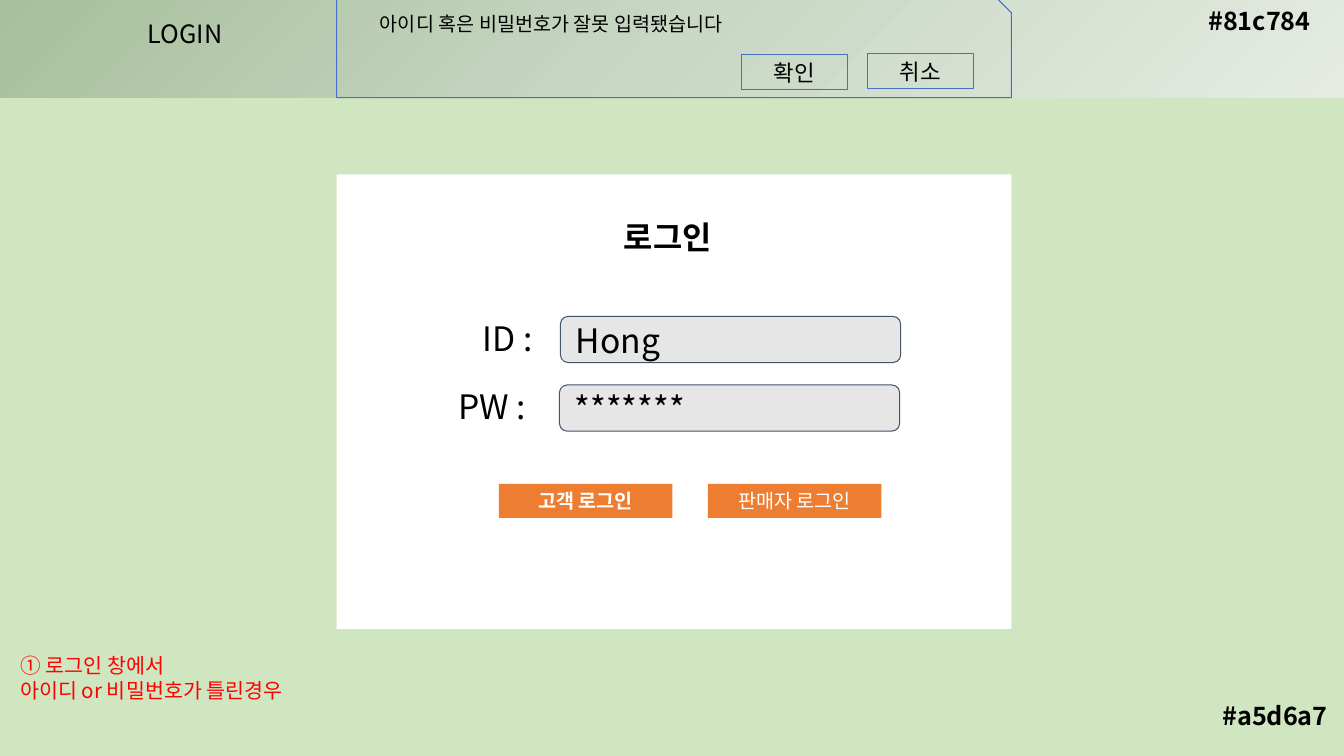
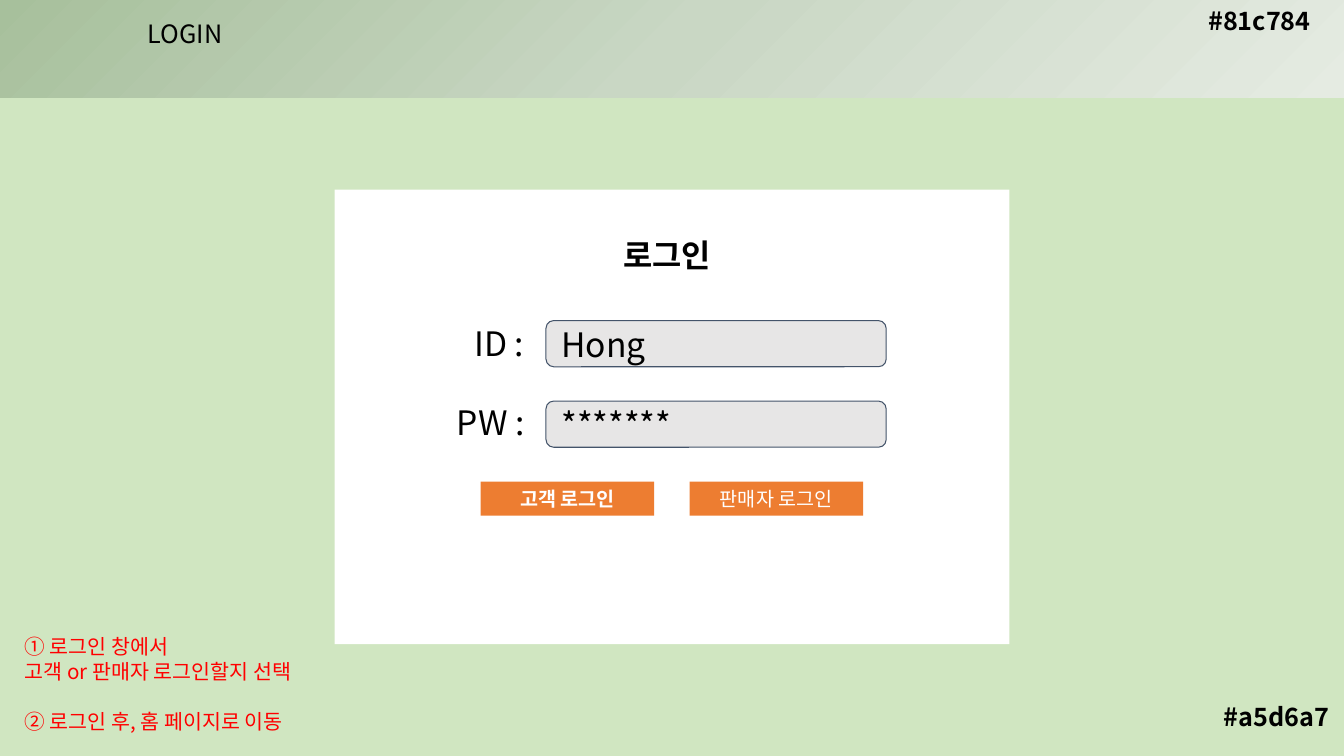
from copy import deepcopy

from pptx import Presentation
from pptx.dml.color import RGBColor
from pptx.enum.shapes import MSO_SHAPE
from pptx.enum.text import MSO_ANCHOR, PP_ALIGN
from pptx.oxml.ns import qn
from pptx.util import Pt

RECT = MSO_SHAPE.RECTANGLE
ROUND = MSO_SHAPE.ROUNDED_RECTANGLE
SNIP = MSO_SHAPE.SNIP_1_RECTANGLE
LEFT, CENTER = PP_ALIGN.LEFT, PP_ALIGN.CENTER
TOP, MIDDLE = MSO_ANCHOR.TOP, MSO_ANCHOR.MIDDLE


class Theme:
    font = "Noto Sans CJK KR"
    leading = 1.22
    wide, narrow = 9.4, 3.6  # text insets
    page, card, field = "D0E6C1", "FFFFFF", "E7E6E6"
    band = ("A7C09C", "C9D7C4", "E5EBE2")
    field_line, dialog_line = "44546A", "4472C4"
    button, ink, light, note = "ED7D31", "000000", "FFFFFF", "FF0000"
    title_size, field_size, bar_size = 22.7, 24, 18
    note_size, button_size, dialog_button_size = 14.7, 14, 16


def add_box(s, kind, at, fill=None, line=None):
    sp = s.shapes.add_shape(kind, *map(Pt, at))
    sp.shadow.inherit = False
    if fill:
        sp.fill.solid()
        sp.fill.fore_color.rgb = RGBColor.from_string(fill)
    else:
        sp.fill.background()
    if line:
        sp.line.color.rgb = RGBColor.from_string(line)
        sp.line.width = Pt(0.75)
    else:
        sp.line.fill.background()
    return sp


def add_text(sp, lines, size, color=Theme.ink, bold=False, align=LEFT,
             anchor=TOP, inset=Theme.wide, gap=0):
    tf = sp.text_frame
    tf.word_wrap = True
    tf.vertical_anchor = anchor
    tf.margin_left = tf.margin_right = Pt(inset)
    tf.margin_top = tf.margin_bottom = Pt(inset)
    for i, line in enumerate(lines):
        p = tf.paragraphs[0] if i == 0 else tf.add_paragraph()
        p.alignment = align
        p.line_spacing = Pt(size * Theme.leading)
        if i == 2:
            p.space_before = Pt(gap)
        r = p.add_run()
        r.text = line
        r.font.size = Pt(size)
        r.font.bold = bold
        r.font.name = Theme.font
        r.font.color.rgb = RGBColor.from_string(color)
        ea = r.font._element.makeelement(qn("a:ea"), {"typeface": Theme.font})
        r.font._element.find(qn("a:latin")).addnext(ea)


pages = [
    dict(card=(240.5, 124.5), title=(420, 145.5),
         fields=[("ID :", (335.5, 217), (400.3, 226), "Hong"),
                 ("PW :", (318.2, 266), (399.6, 275), "*******")],
         buttons=(356.4, 345.6), note_at=(5, 456.5), code_at=(866, 496),
         notes=["① 로그인 창에서", "아이디 or 비밀번호가 틀린경우"],
         message="아이디 혹은 비밀번호가 잘못 입력됐습니다"),
    dict(card=(239, 135.4), title=(419.4, 158.5),
         fields=[("ID :", (329.5, 221), (390, 229), "Hong"),
                 ("PW :", (317, 277), (390, 286.5), "*******")],
         buttons=(343.4, 344), note_at=(8, 443), code_at=(867, 497),
         notes=["① 로그인 창에서", "고객 or 판매자 로그인할지 선택",
                "② 로그인 후, 홈 페이지로 이동"],
         message=None),
]

prs = Presentation()
prs.slide_width, prs.slide_height = Pt(960), Pt(540)

for page in pages:
    s = prs.slides.add_slide(prs.slide_layouts[6])
    s.background.fill.solid()
    s.background.fill.fore_color.rgb = RGBColor.from_string(Theme.page)

    # Login card with its title
    add_box(s, RECT, (*page["card"], 482, 324.7), Theme.card)
    tb = s.shapes.add_textbox(*map(Pt, (*page["title"], 114, 48)))
    add_text(tb, ["로그인"], Theme.title_size, bold=True, align=CENTER)

    # Input fields
    for label, label_at, field_at, value in page["fields"]:
        sp = add_box(s, ROUND, (*field_at, 243, 33), Theme.field, Theme.field_line)
        add_text(sp, [value], Theme.field_size, anchor=MIDDLE)
        tb = s.shapes.add_textbox(*map(Pt, (*label_at, 80, 48)))
        add_text(tb, [label], Theme.field_size)

    # Login buttons
    x, y = page["buttons"]
    for i, caption in enumerate(["고객 로그인", "판매자 로그인"]):
        sp = add_box(s, RECT, (x + i * 149.2, y, 124, 24.3), Theme.button)
        add_text(sp, [caption], Theme.button_size, Theme.light, bold=i == 0,
                 align=CENTER, anchor=MIDDLE, inset=Theme.narrow)

    # Notes
    tb = s.shapes.add_textbox(*map(Pt, (*page["note_at"], 250, 73)))
    add_text(tb, page["notes"], Theme.note_size, Theme.note,
             gap=Theme.note_size * Theme.leading)

    # Top band with a three-colour gradient
    sp = add_box(s, RECT, (0, 0, 960, 70))
    sp.fill.gradient()
    sp.fill.gradient_angle = 315
    first, last = sp.fill._fill._gradFill.gsLst
    middle = deepcopy(first)
    first.addnext(middle)
    for i, (gs, color) in enumerate(zip((first, middle, last), Theme.band)):
        gs.set("pos", str(i * 50000))
        for child in list(gs):
            gs.remove(child)
        gs.append(gs.makeelement(qn("a:srgbClr"), {"val": color}))

    # Error dialog
    if page["message"]:
        add_box(s, SNIP, (240.5, -3, 482, 72.7), line=Theme.dialog_line)
        tb = s.shapes.add_textbox(*map(Pt, (262, 0, 460, 36)))
        add_text(tb, [page["message"]], Theme.button_size)
        for caption, x, y in [("확인", 529.5, 39), ("취소", 619.5, 38.3)]:
            sp = add_box(s, RECT, (x, y, 75.6, 24.8), line=Theme.dialog_line)
            add_text(sp, [caption], Theme.dialog_button_size,
                     align=CENTER, anchor=MIDDLE)

    # Page name and colour codes
    for caption, at, bold in [("LOGIN", (98.6, 9.4), False),
                              ("#81c784", (856, 0), True),
                              ("#a5d6a7", page["code_at"], True)]:
        tb = s.shapes.add_textbox(*map(Pt, (*at, 92, 29)))
        add_text(tb, [caption], Theme.bar_size, bold=bold, inset=Theme.narrow)
        tb.text_frame.margin_left = tb.text_frame.margin_right = Pt(7.2)

prs.save("out.pptx")
